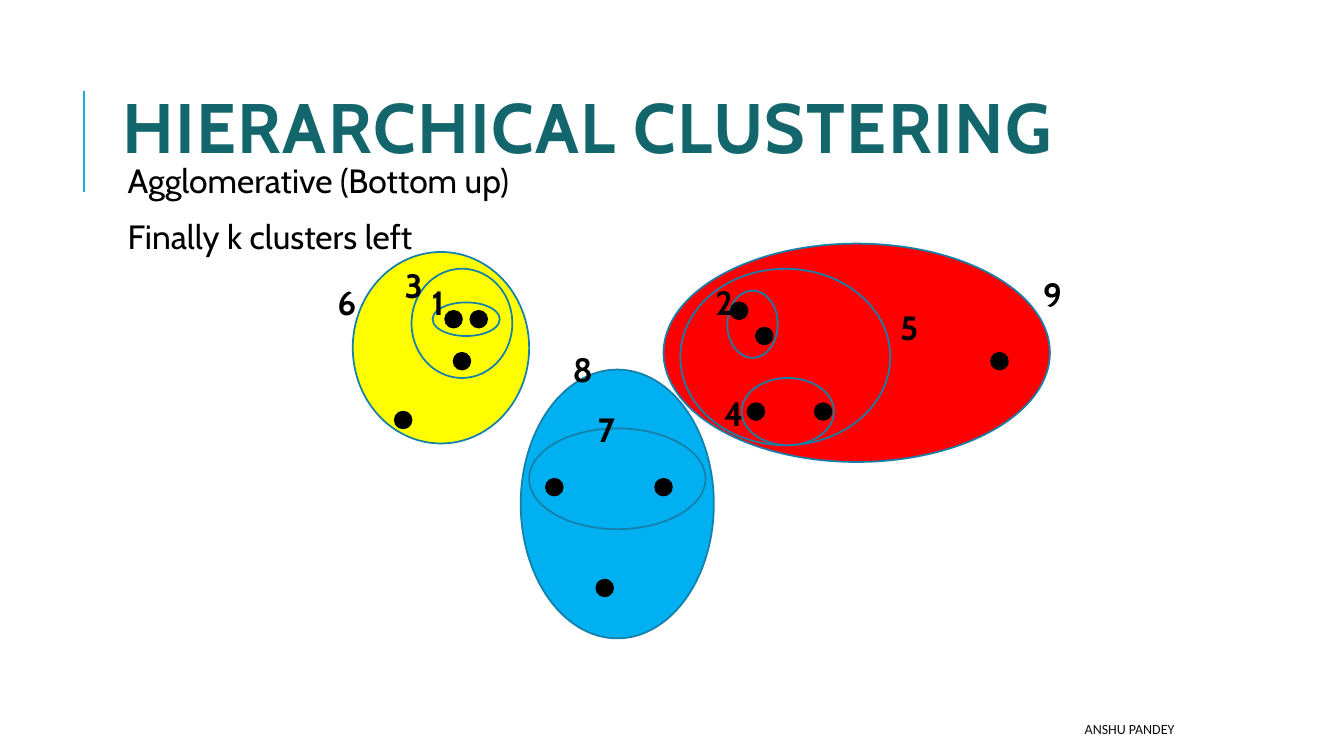
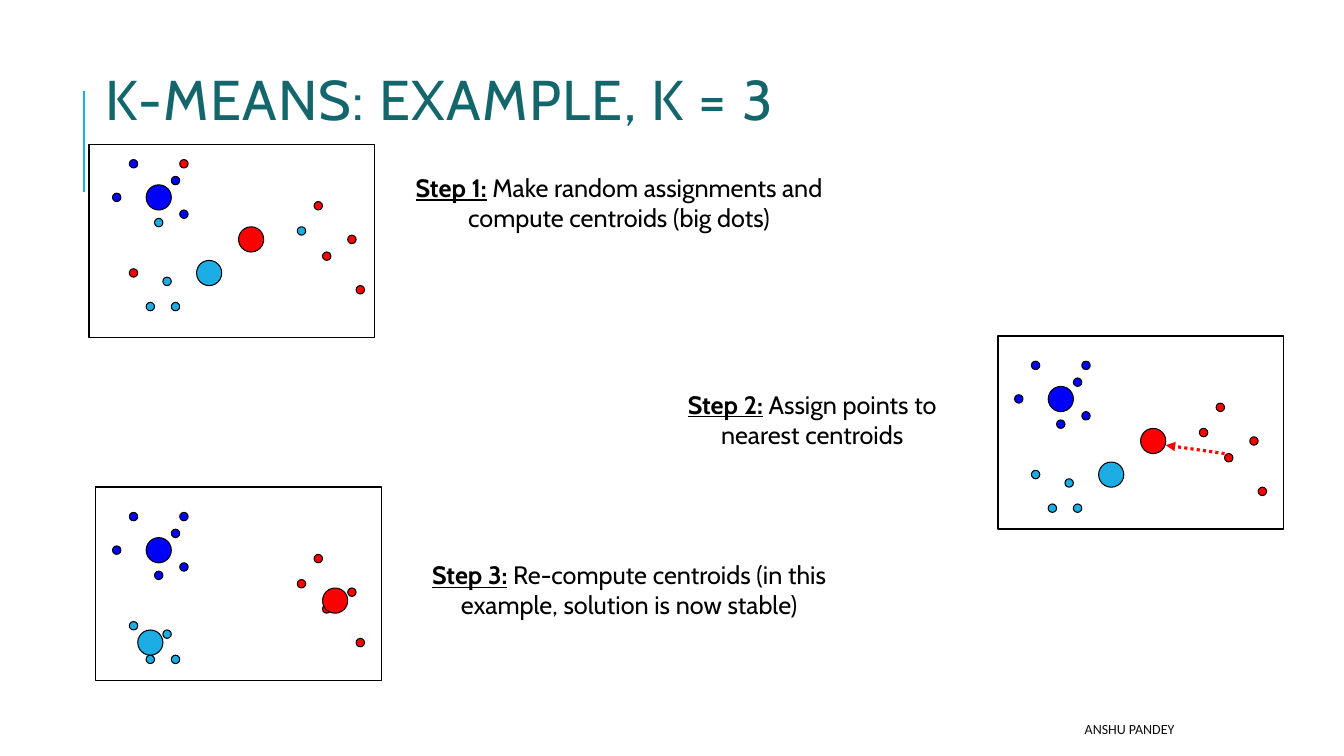
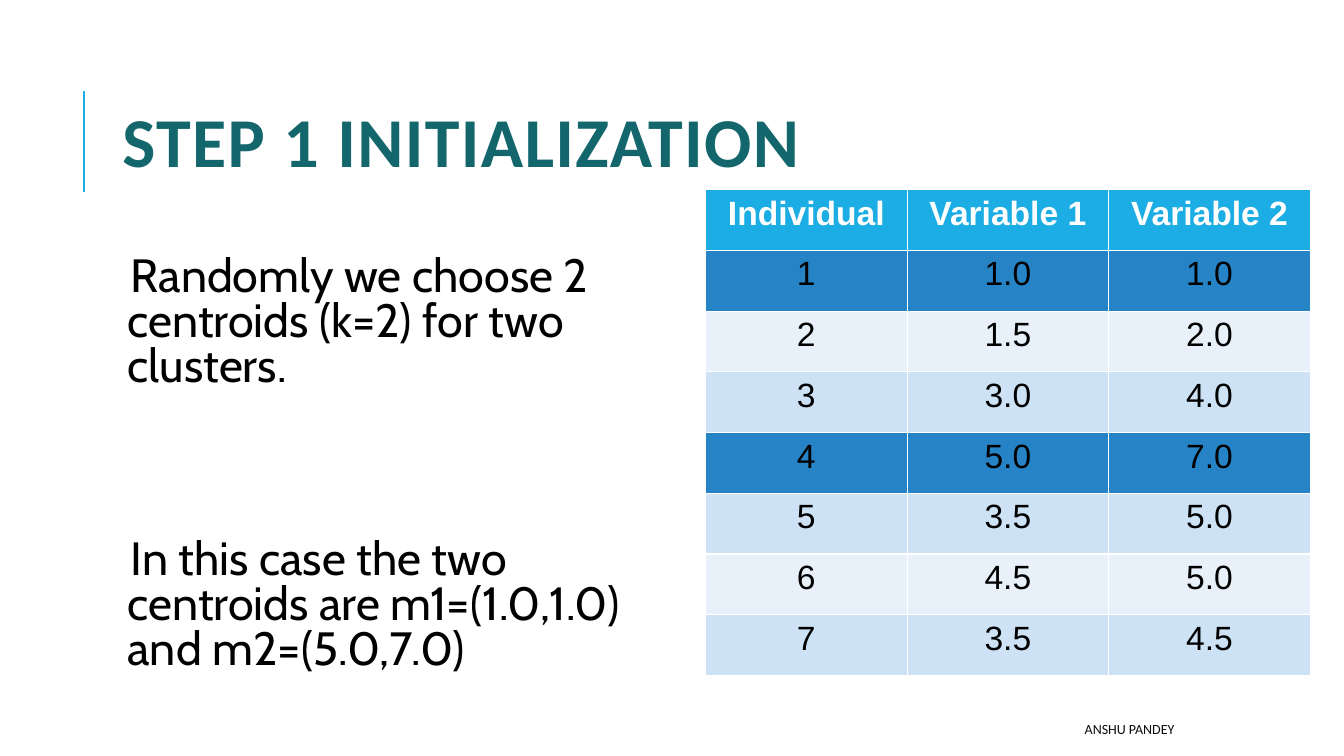
from lxml.etree import SubElement
from pptx import Presentation
from pptx.dml.color import RGBColor
from pptx.enum.dml import MSO_LINE
from pptx.enum.shapes import MSO_CONNECTOR as CONN, MSO_SHAPE as SHAPE
from pptx.enum.text import MSO_ANCHOR as ANCHOR, PP_ALIGN as ALIGN
from pptx.oxml.ns import qn
from pptx.util import Cm, Pt

GRID = 2.54 / 12
BLACK = RGBColor(0x00, 0x00, 0x00)
WHITE = RGBColor(0xFF, 0xFF, 0xFF)
INK = RGBColor(0x0D, 0x0D, 0x0D)
TEAL = RGBColor(0x13, 0x67, 0x6C)
CYAN = RGBColor(0x1C, 0xAD, 0xE4)
OUTLINE = RGBColor(0x15, 0x80, 0xA9)
SKY = RGBColor(0x00, 0xB0, 0xF0)
BLUE = RGBColor(0x00, 0x00, 0xFF)
RED = RGBColor(0xFF, 0x00, 0x00)
YELLOW = RGBColor(0xFF, 0xFF, 0x00)
CHOSEN = RGBColor(0x26, 0x83, 0xC6)
PALE = RGBColor(0xE8, 0xF1, 0xFA)
LIGHT = RGBColor(0xCD, 0xE3, 0xF5)


def add_outline(s, kind, box, fill, line, width):
    sp = s.shapes.add_shape(kind, *[Cm(v * GRID) for v in box])
    sp.shadow.inherit = False
    if fill is None:
        sp.fill.background()
    else:
        sp.fill.solid()
        sp.fill.fore_color.rgb = fill
    sp.line.color.rgb = line
    sp.line.width = Pt(width)


def add_text(s, box, paragraphs, size, color=BLACK, font="Cabin", bold=False,
             align=ALIGN.LEFT, anchor=ANCHOR.TOP, spacing=1.0):
    tf = s.shapes.add_textbox(*[Cm(v * GRID) for v in box]).text_frame
    tf.word_wrap = True
    tf.vertical_anchor = anchor
    for i, runs in enumerate(paragraphs):
        p = tf.add_paragraph() if i else tf.paragraphs[0]
        p.alignment = align
        p.line_spacing = spacing
        for text in runs:
            r = p.add_run()
            r.text = text
            r.font.size = Pt(size)
            r.font.name = font
            r.font.bold = bold
            r.font.color.rgb = color
    return tf


prs = Presentation()
prs.slide_width = Cm(33.87)
prs.slide_height = Cm(19.05)

titles = [
    ("HIERARCHICAL CLUSTERING", 13.4, 6, 50, "Cabin", True),
    ("K-MEANS: EXAMPLE, K = 3", 11.4, 2.6, 40, "Cabin", False),
    ("STEP 1 INITIALIZATION", 13.4, 7.7, 50, "Calibri", True),
]
slides = []
for title, x, y, size, font, bold in titles:
    s = prs.slides.add_slide(prs.slide_layouts[6])
    slides.append(s)
    rule = s.shapes.add_connector(CONN.STRAIGHT, *[Cm(v * GRID) for v in (10, 22.8, 10, 10.8)])
    rule.line.color.rgb = CYAN
    rule.line.width = Pt(1.5)
    SubElement(rule._element.spPr, qn("a:effectLst"))
    tf = add_text(s, (x, y, 127.6, 19.7), [[title]], size, TEAL, font, bold,
                  anchor=ANCHOR.MIDDLE, spacing=0.8)
    tf.paragraphs[0].runs[0].font._element.set("spc", "100")
    add_text(s, (63.6, 85, 77.4, 3.6), [["ANSHU PANDEY"]], 10, INK, "Calibri",
             align=ALIGN.RIGHT, anchor=ANCHOR.MIDDLE)
clusters, kmeans, initial = slides

ellipses = [
    (62, 44, 23, 32, SKY), (63, 51, 21, 12, SKY),
    (79, 29, 46, 26, RED), (81, 32, 25, 21, RED),
    (42, 30, 21, 22.8, YELLOW), (88.3, 45, 11, 8, RED),
    (49, 32, 12, 13, YELLOW), (86.6, 34.6, 6, 8, RED),
    (51.5, 36, 8, 4, YELLOW),
]
for x, y, w, h, fill in ellipses:
    add_outline(clusters, SHAPE.OVAL, (x, y, w, h), fill, OUTLINE, 1.25)

dots = [(53, 37), (56, 37), (54, 42), (47, 49), (87, 36), (90, 39),
        (89, 48), (97, 48), (65, 57), (118, 42), (78, 57), (71, 69)]
for x, y in dots:
    add_outline(clusters, SHAPE.OVAL, (x, y, 2, 2), BLACK, BLACK, 1.25)

labels = [(50.2, 33), (84, 33), (47, 31), (85, 46.2), (106, 36),
          (39, 33), (70, 48.1), (67, 41), (123, 32)]
for number, (x, y) in enumerate(labels, 1):
    add_text(clusters, (x, y, 3, 6), [[str(number)]], 24, bold=True)

body = add_text(clusters, (13.4, 19, 127.6, 52.8),
                [["Agglomerative (Bottom up)"], ["Finally k clusters left"]], 24, spacing=0.9)
body.margin_left = Cm(0.38)
body.margin_top = Cm(0.13)
for p in body.paragraphs:
    p.space_before = Pt(12)
    p.space_after = Pt(2)

points = [(2, 0), (5, 7), (7, 2), (8, 6), (0, 4), (24, 5), (28, 9), (22, 8),
          (25, 11), (8, 0), (29, 15), (2, 13), (4, 17), (7, 17), (6, 14)]
colors = {"B": BLUE, "C": CYAN, "R": RED}
start = [(10, 12), (4, 3), (15, 8)]
panels = [
    ((10.6, 17.2), (13.4, 19), "BCBBBRRCRRRRCCC", start, (46.2, 19.9, 55, 8.4),
     "Step 1:", " Make random assignments and compute centroids (big dots)"),
    ((118.8, 40), (120.8, 43), "BBBBBRRRRBRCCCC", start, (75.7, 45.7, 42, 8.4),
     "Step 2:", " Assign points to nearest centroids"),
    ((11.4, 58), (13.4, 61), "BBBBBRRRRBRCCCC", [(3, 14), (4, 3), (25, 9)], (47.4, 66, 55, 8.4),
     "Step 3:", " Re-compute centroids (in this example, solution is now stable)"),
]
for frame, (left, top), groups, centroids, box, step, action in panels:
    add_outline(kmeans, SHAPE.RECTANGLE, (*frame, 34, 23), None, BLACK, 1)
    for (x, y), group in zip(points, groups):
        add_outline(kmeans, SHAPE.OVAL, (left + x, top + y, 1, 1), colors[group], BLACK, 0.75)
    for (x, y), group in zip(centroids, "CBR"):
        add_outline(kmeans, SHAPE.OVAL, (left + x, top + y, 3, 3), colors[group], BLACK, 0.75)
    tf = add_text(kmeans, box, [[step, action]], 18, align=ALIGN.CENTER, anchor=ANCHOR.MIDDLE)
    heading = tf.paragraphs[0].runs[0]
    heading.font.bold = True
    heading.font.underline = True

arrow = kmeans.shapes.add_connector(
    CONN.STRAIGHT, *[Cm(v * GRID) for v in (145.8, 54, 138.8, 53)])
arrow.line.color.rgb = RED
arrow.line.width = Pt(2.25)
arrow.line.dash_style = MSO_LINE.ROUND_DOT
SubElement(arrow.line._get_or_add_ln(), qn("a:tailEnd"), type="triangle")
SubElement(arrow._element.spPr, qn("a:effectLst"))

body = add_text(initial, (13.4, 30, 69.4, 52.8), [
    ["Randomly we choose 2 centroids (k=2) for two clusters."],
    ["In this case the two centroids are m1=(1.0,1.0) and m2=(5.0,7.0)"],
], 33.3, spacing=0.8)
body.margin_left = Cm(0.38)
body.margin_right = body.margin_top = Cm(0.13)
for p, before in zip(body.paragraphs, (12, 104)):
    p.space_before = Pt(before)
    p.space_after = Pt(2)
    p._p.get_or_add_pPr().set("indent", str(Cm(0.08)))

rows = [
    ("Individual", "Variable 1", "Variable 2"),
    ("1", "1.0", "1.0"),
    ("2", "1.5", "2.0"),
    ("3", "3.0", "4.0"),
    ("4", "5.0", "7.0"),
    ("5", "3.5", "5.0"),
    ("6", "4.5", "5.0"),
    ("7", "3.5", "4.5"),
]
fills = [CYAN, CHOSEN, PALE, LIGHT, CHOSEN, LIGHT, PALE, LIGHT]
table = initial.shapes.add_table(
    len(rows), 3, Cm(17.78), Cm(4.78), Cm(15.24), Cm(12.24)).table
for i, (values, fill) in enumerate(zip(rows, fills)):
    for j, value in enumerate(values):
        cell = table.cell(i, j)
        cell.fill.solid()
        cell.fill.fore_color.rgb = fill
        p = cell.text_frame.paragraphs[0]
        p.alignment = ALIGN.CENTER
        r = p.add_run()
        r.text = value
        r.font.size = Pt(24)
        r.font.name = "Arial"
        r.font.bold = i == 0
        r.font.color.rgb = BLACK if i else WHITE

prs.save("out.pptx")
